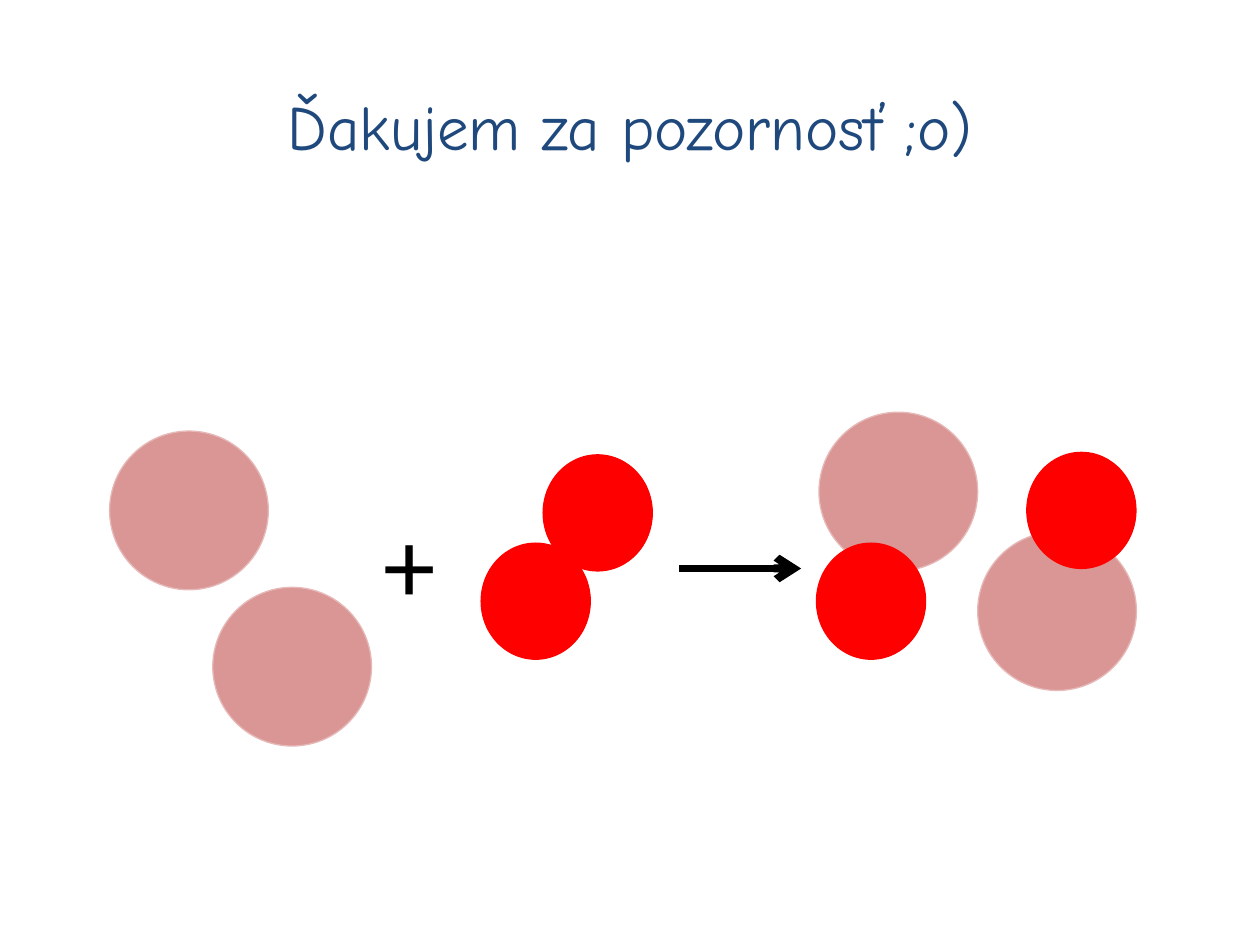
from pptx import Presentation
from pptx.dml.color import RGBColor
from pptx.enum.shapes import MSO_CONNECTOR, MSO_SHAPE
from pptx.enum.text import MSO_ANCHOR, PP_ALIGN
from pptx.oxml.ns import qn
from pptx.util import Cm, Pt
from lxml.etree import SubElement

# Atom kinds: width, height, fill, outline
METAL = (3.2, 3.2, "D99694", "E6B9B8")
OXYGEN = (2.2, 2.34, "FF0000", "FF0000")


def rgb(code):
    return RGBColor.from_string(code)


def add_run(paragraph, text, font_name, size, color):
    run = paragraph.add_run()
    run.text = text
    run.font.name = font_name
    run.font.size = Pt(size)
    run.font.color.rgb = rgb(color)


def add_title(slide, left, top, width, height):
    title = slide.shapes.title
    title.left, title.top, title.width, title.height = map(
        Cm, (left, top, width, height))
    title.text_frame.vertical_anchor = MSO_ANCHOR.MIDDLE
    paragraph = title.text_frame.paragraphs[0]
    paragraph.alignment = PP_ALIGN.CENTER
    add_run(paragraph, "Ďakujem za pozornosť ;o)", "Comic Neue", 36, "1F497D")


def add_atoms(shapes, left, top, atoms):
    """Place (kind, dx, dy) atoms from back to front, offset from left and top."""
    for (width, height, fill, outline), dx, dy in atoms:
        atom = shapes.add_shape(MSO_SHAPE.OVAL, Cm(left + dx), Cm(top + dy),
                                Cm(width), Cm(height))
        atom.shadow.inherit = False
        atom.fill.solid()
        atom.fill.fore_color.rgb = rgb(fill)
        atom.line.color.rgb = rgb(outline)
        atom.line.width = Pt(0.75)


def add_molecule(slide, left, top, atoms):
    add_atoms(slide.shapes.add_group_shape().shapes, left, top, atoms)


def add_plus(slide, left, top, width, height):
    plus = slide.shapes.add_textbox(Cm(left), Cm(top), Cm(width), Cm(height))
    plus.text_frame.word_wrap = True
    add_run(plus.text_frame.paragraphs[0], "+", "Calibri", 60, "000000")


def add_reaction_arrow(slide, left, top, width):
    arrow = slide.shapes.add_connector(MSO_CONNECTOR.STRAIGHT, Cm(left), Cm(top),
                                       Cm(left + width), Cm(top))
    arrow.line.color.rgb = rgb("000000")
    arrow.line.width = Pt(4.5)
    SubElement(arrow.line._get_or_add_ln(), qn("a:tailEnd"), type="arrow")
    SubElement(arrow._element.spPr, qn("a:effectLst"))


def add_reaction(slide, left, top):
    """Two metal atoms + one oxygen molecule -> two oxide molecules."""
    add_atoms(slide.shapes, left, top + 0.38,
              [(METAL, 0, 0), (METAL, 2.08, 3.15)])
    add_plus(slide, left + 5.28, top + 1.62, 1.75, 2.82)
    add_molecule(slide, left + 7.49, top + 0.86,
                 [(OXYGEN, 0, 1.78), (OXYGEN, 1.25, 0)])
    add_reaction_arrow(slide, left + 11.48, top + 3.15, 2.46)
    add_molecule(slide, left + 14.25, top,
                 [(METAL, 0.05, 0), (OXYGEN, 0, 2.64)])
    add_molecule(slide, left + 17.5, top + 0.81,
                 [(METAL, 0, 1.6), (OXYGEN, 0.99, 0)])


def main():
    presentation = Presentation()
    presentation.slide_width, presentation.slide_height = Cm(25.4), Cm(19.05)
    slide = presentation.slides.add_slide(presentation.slide_layouts[5])
    add_title(slide, 1.27, 1.52, 22.86, 2)
    add_reaction(slide, 2.21, 8.31)
    presentation.save("out.pptx")


if __name__ == "__main__":
    main()
